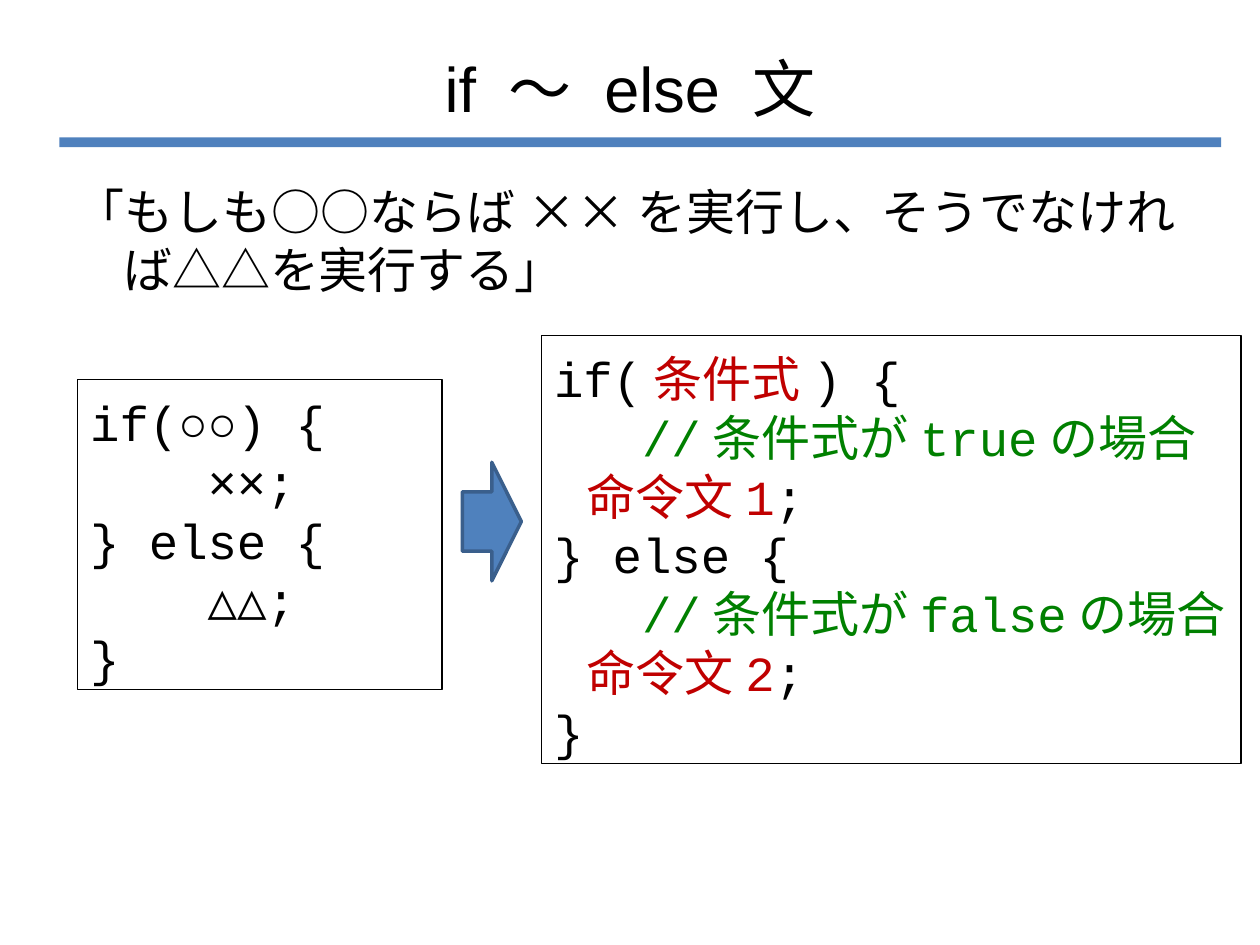
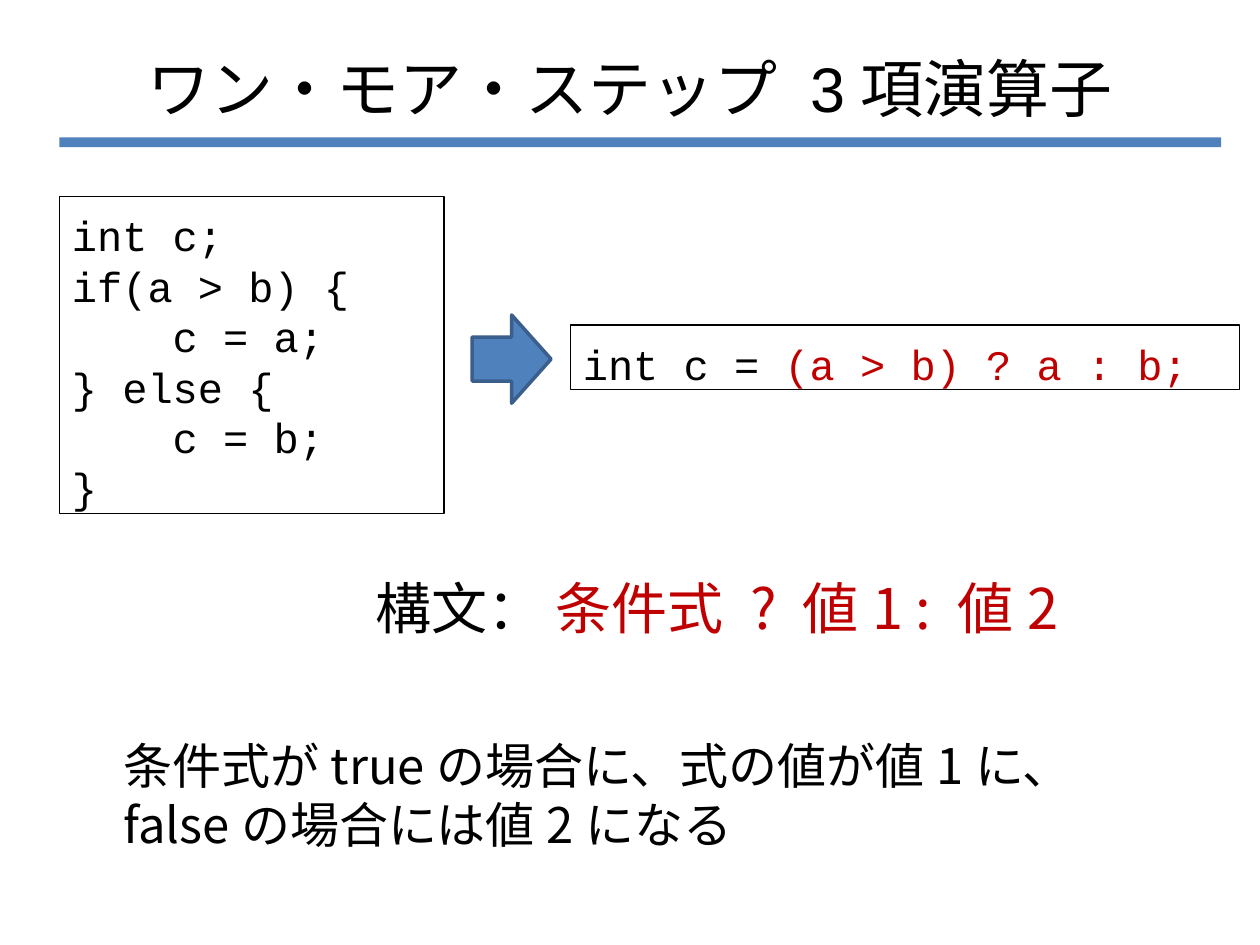
from lxml.etree import SubElement
from pptx import Presentation
from pptx.dml.color import RGBColor
from pptx.enum.shapes import MSO_SHAPE
from pptx.enum.text import MSO_ANCHOR, MSO_AUTO_SIZE, PP_ALIGN
from pptx.oxml.ns import qn
from pptx.util import Cm, Pt

BLACK, RED, GREEN = "000000", "C00000", "008000"
BLUE, DARK_BLUE = "4F81BD", "3A5F8C"
TITLE_FONT, BODY_FONT, CODE_FONT = "Arial", "Noto Sans CJK JP", "Courier New"
LINE_PITCH = 1.2
TITLE_AREA = (1.27, 0.76, 22.86, 2.01)
BAND_AREA = (1.2, 2.77, 23.42, 0.2)

# Areas are (left, top, width, height) in cm; a text line is a list of (text, colour).
SLIDES = [
    {
        "title": "if ～ else 文",
        "body_area": (1.27, 3.38, 22.86, 13.89),
        "body": [
            {"runs": [("「もしも○○ならば××を実行し、そうでなければ△△を実行する」", BLACK)],
             "size": 28, "margin": 0.96, "first": -0.96, "before": 0},
        ],
        "code_size": 28,
        "codes": [
            ((1.57, 7.65, 7.34, 6.25), [
                [("if(○○) {", BLACK)],
                [("    ××;", BLACK)],
                [("} else {", BLACK)],
                [("    △△;", BLACK)],
                [("}", BLACK)],
            ]),
            ((10.92, 6.76, 14.1, 8.64), [
                [("if(", BLACK), ("条件式", RED), (") {", BLACK)],
                [("   //条件式がtrueの場合", GREEN)],
                [("   ", GREEN), ("命令文1", RED), (";", BLACK)],
                [("} else {", BLACK)],
                [("   //条件式がfalseの場合", GREEN)],
                [("   ", GREEN), ("命令文2", RED), (";", BLACK)],
                [("}", BLACK)],
            ]),
        ],
        "arrow_area": (9.32, 9.32, 1.19, 2.39),
    },
    {
        "title": "ワン・モア・ステップ 3項演算子",
        "body_area": (1.27, 11.3, 22.5, 5.94),
        "body": [
            {"runs": [("構文： ", BLACK), ("条件式 ? 値1 : 値2", RED)],
             "size": 32, "margin": 6.04, "first": 0, "before": 0},
            {"runs": [("条件式がtrueの場合に、式の値が値1に、falseの場合には値2になる", BLACK)],
             "size": 28, "margin": 0.96, "first": 0, "before": 54},
        ],
        "code_size": 24,
        "codes": [
            ((1.2, 3.96, 7.75, 6.4), [
                [("int c;", BLACK)],
                [("if(a > b) {", BLACK)],
                [("    c = a;", BLACK)],
                [("} else {", BLACK)],
                [("    c = b;", BLACK)],
                [("}", BLACK)],
            ]),
            ((11.5, 6.55, 13.49, 1.3), [
                [("int c = ", BLACK), ("(a > b) ? a : b;", RED)],
            ]),
        ],
        "arrow_area": (9.52, 6.35, 1.59, 1.78),
    },
]


def rgb(hex_colour):
    return RGBColor.from_string(hex_colour)


def place(shape, area):
    shape.left, shape.top, shape.width, shape.height = map(Cm, area)


def add_shape(slide, kind, area, fill=None, line=None, line_width=0.75):
    shape = slide.shapes.add_shape(kind, *map(Cm, area))
    shape.shadow.inherit = False
    if fill:
        shape.fill.solid()
        shape.fill.fore_color.rgb = rgb(fill)
    else:
        shape.fill.background()
    if line:
        shape.line.color.rgb = rgb(line)
        shape.line.width = Pt(line_width)
    else:
        shape.line.fill.background()
    return shape


def add_runs(paragraph, runs, size, font, asian_font=BODY_FONT):
    for text, colour in runs:
        run = paragraph.add_run()
        run.text = text
        run.font.size = Pt(size)
        run.font.name = font
        run.font.color.rgb = rgb(colour)
        asian = SubElement(run.font._element, qn("a:ea"))
        asian.set("typeface", asian_font)


def start_text(frame):
    frame.word_wrap = True
    frame.auto_size = MSO_AUTO_SIZE.NONE
    frame.vertical_anchor = MSO_ANCHOR.TOP
    frame.margin_top = Cm(0.27)


def paragraphs(frame, count):
    """Return the first paragraph of the frame and as many new ones as needed."""
    return [frame.paragraphs[0]] + [frame.add_paragraph() for _ in range(count - 1)]


def fill_title(slide, title):
    place(slide.shapes.title, TITLE_AREA)
    frame = slide.shapes.title.text_frame
    frame.vertical_anchor = MSO_ANCHOR.MIDDLE
    frame.auto_size = MSO_AUTO_SIZE.NONE
    heading = frame.paragraphs[0]
    heading.alignment = PP_ALIGN.CENTER
    add_runs(heading, [(title, BLACK)], 36, TITLE_FONT, TITLE_FONT)


def fill_body(slide, area, items):
    body = slide.placeholders[1]
    place(body, area)
    start_text(body.text_frame)
    for paragraph, item in zip(paragraphs(body.text_frame, len(items)), items):
        properties = paragraph._p.get_or_add_pPr()
        properties.set("marL", str(Cm(item["margin"])))
        properties.set("indent", str(Cm(item["first"])))
        SubElement(properties, qn("a:buNone"))
        paragraph.line_spacing = Pt(item["size"] * LINE_PITCH)
        paragraph.space_before = Pt(item["before"])
        add_runs(paragraph, item["runs"], item["size"], BODY_FONT)


def add_code(slide, area, lines, size):
    frame = add_shape(slide, MSO_SHAPE.RECTANGLE, area, line=BLACK).text_frame
    start_text(frame)
    frame.margin_right = Cm(0)
    for paragraph, runs in zip(paragraphs(frame, len(lines)), lines):
        paragraph.alignment = PP_ALIGN.LEFT
        paragraph.line_spacing = Pt(size * LINE_PITCH)
        add_runs(paragraph, runs, size, CODE_FONT)


def add_band(slide):
    """Draw the band under the title and hand it to the layout all slides share."""
    band = add_shape(slide, MSO_SHAPE.RECTANGLE, BAND_AREA, fill=BLUE)
    slide.slide_layout.shapes.element.append(band.element)


def main():
    prs = Presentation()
    prs.slide_width, prs.slide_height = Cm(25.4), Cm(19.05)
    layout = prs.slide_layouts[1]
    for number, content in enumerate(SLIDES):
        slide = prs.slides.add_slide(layout)
        if number == 0:
            add_band(slide)
        fill_title(slide, content["title"])
        fill_body(slide, content["body_area"], content["body"])
        for area, lines in content["codes"]:
            add_code(slide, area, lines, content["code_size"])
        add_shape(slide, MSO_SHAPE.RIGHT_ARROW, content["arrow_area"],
                  fill=BLUE, line=DARK_BLUE, line_width=2)
    prs.save("out.pptx")


if __name__ == "__main__":
    main()
